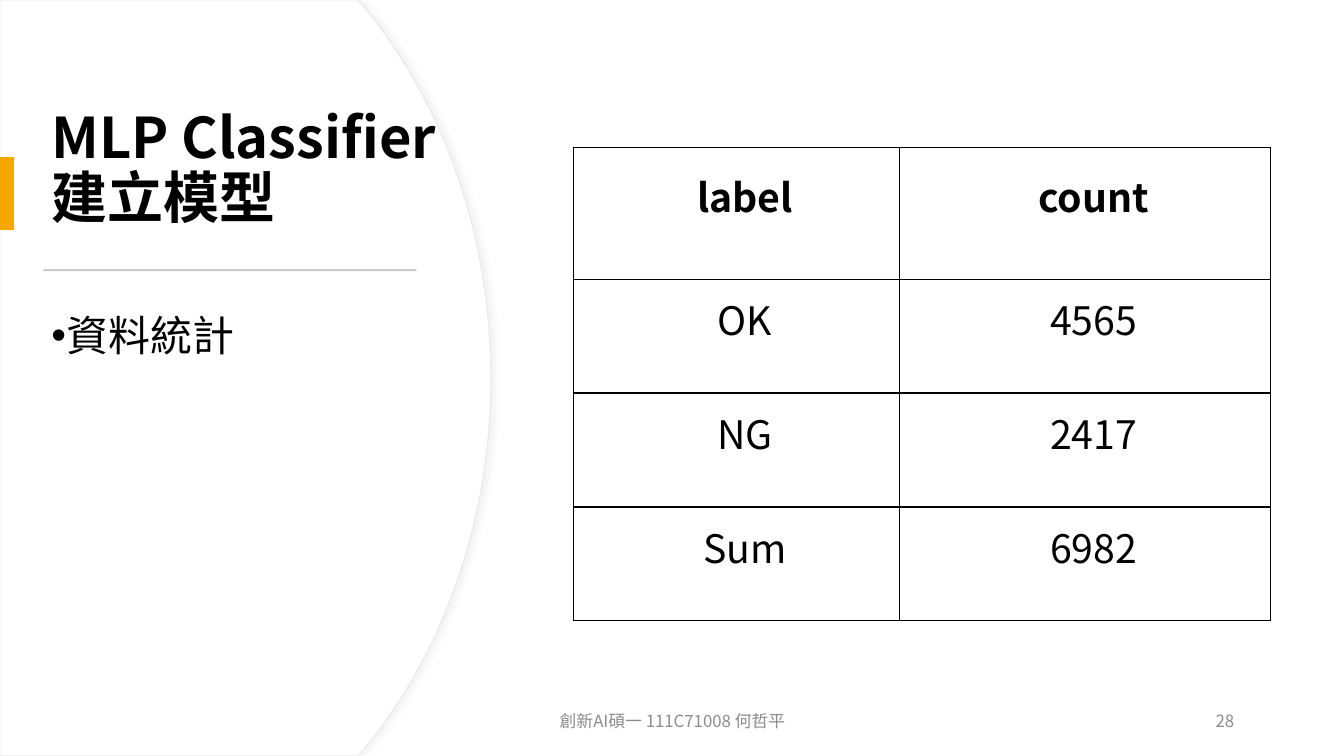
"""Build the MLP classifier slide with its label count table."""
from dataclasses import dataclass

from lxml import etree
from pptx import Presentation
from pptx.dml.color import RGBColor
from pptx.enum.shapes import MSO_SHAPE
from pptx.enum.text import MSO_ANCHOR, MSO_AUTO_SIZE, PP_ALIGN
from pptx.oxml.ns import qn
from pptx.util import Inches, Pt

RECTANGLE = MSO_SHAPE.RECTANGLE
MIDDLE, TOP = MSO_ANCHOR.MIDDLE, MSO_ANCHOR.TOP
LEFT, CENTER, RIGHT = PP_ALIGN.LEFT, PP_ALIGN.CENTER, PP_ALIGN.RIGHT
NO_AUTOFIT = MSO_AUTO_SIZE.NONE

BLACK = RGBColor(0x00, 0x00, 0x00)
WHITE = RGBColor(0xFF, 0xFF, 0xFF)
ORANGE = RGBColor(0xF5, 0xA7, 0x00)
RULE_GREY = RGBColor(0xC9, 0xC9, 0xC9)
ARC_GREY = RGBColor(0xE9, 0xE9, 0xE9)
SHADOW_GREY = RGBColor(0xD9, 0xD9, 0xD9)
FOOTER_GREY = RGBColor(0x8C, 0x8C, 0x8C)
FONT = "Noto Sans CJK SC"

WIDTH, HEIGHT = 13.33, 7.5
ARC_CURVE = ((3.62, 0.08), (4.39, 1.02), (4.87, 2.32), (4.87, 3.75))
ARC_STEPS = 24

TABLE_ROWS = (("label", "count"), ("OK", "4565"), ("NG", "2417"), ("Sum", "6982"))
COLUMN_WIDTHS = (3.23, 3.68)
ROW_HEIGHTS = (1.31, 1.13, 1.13, 1.13)
CELL_FORMAT = {
    "margin_left": Inches(0.19),
    "margin_top": Inches(0.06),
    "margin_right": Inches(0.02),
    "margin_bottom": Inches(0.41),
    "vertical_anchor": MIDDLE,
}


@dataclass(frozen=True)
class Area:
    left: float
    top: float
    width: float
    height: float

    def lengths(self) -> tuple:
        return tuple(Inches(v) for v in (self.left, self.top, self.width, self.height))


@dataclass(frozen=True)
class Label:
    text: str
    area: Area
    align: PP_ALIGN


@dataclass(frozen=True)
class Bar:
    area: Area
    color: RGBColor


TITLE_AREA = Area(0.41, 0.76, 4.99, 1.86)
BODY_AREA = Area(0.41, 2.97, 3.76, 3.51)
TABLE_AREA = Area(5.69, 1.46, sum(COLUMN_WIDTHS), sum(ROW_HEIGHTS))
BARS = (
    Bar(Area(0, 1.56, 0.14, 0.72), ORANGE),
    Bar(Area(0.43, 2.67, 3.7, 0.02), RULE_GREY),
)
FOOTERS = (
    Label("28", Area(9.34, 6.95, 3, 0.4), RIGHT),
    Label("創新AI碩一 111C71008 何哲平", Area(4.42, 6.95, 4.5, 0.4), CENTER),
)


def apply(target, values: dict) -> None:
    for name, value in values.items():
        setattr(target, name, value)


def write(frame, text: str, size: float, color: RGBColor, bold: bool = False, **layout):
    frame.text = text
    para = frame.paragraphs[0]
    apply(para, layout)
    for span in para.runs:
        apply(span.font, {"name": FONT, "size": Pt(size), "bold": bold})
        span.font.color.rgb = color
        east_asian = etree.Element(qn("a:ea"), typeface=FONT)
        span.font._element.find(qn("a:latin")).addnext(east_asian)
    return para


def fill_placeholder(box, area: Area, anchor: MSO_ANCHOR, *content, **layout):
    apply(box, dict(zip(("left", "top", "width", "height"), area.lengths())))
    frame = box.text_frame
    apply(frame, {"word_wrap": True, "auto_size": NO_AUTOFIT, "vertical_anchor": anchor})
    return write(frame, *content, alignment=LEFT, space_before=Pt(0), **layout)


def arc_points() -> list:
    upper = []
    for step in range(ARC_STEPS + 1):
        t = step / ARC_STEPS
        weights = ((1 - t) ** 3, 3 * t * (1 - t) ** 2, 3 * t * t * (1 - t), t ** 3)
        upper.append(tuple(sum(w * p[axis] for w, p in zip(weights, ARC_CURVE)) for axis in (0, 1)))
    upper.insert(0, (3.55, 0))
    lower = [(x, HEIGHT - y) for x, y in reversed(upper[:-1])]
    return upper + lower + [(0, HEIGHT)]


def add_arc(page) -> None:
    builder = page.shapes.build_freeform(0, 0)
    builder.add_line_segments([(Inches(x), Inches(y)) for x, y in arc_points()])
    arc = builder.convert_to_shape()
    arc.fill.solid()
    arc.fill.fore_color.rgb = WHITE
    arc.line.color.rgb = ARC_GREY
    arc.line.width = Pt(0.75)
    arc.shadow.inherit = False
    effects = arc._element.spPr.find(qn("a:effectLst"))
    shadow = etree.SubElement(effects, qn("a:outerShdw"), blurRad=str(Pt(4)), dist=str(Pt(3)), dir="0")
    color = etree.SubElement(shadow, qn("a:srgbClr"), val=str(SHADOW_GREY))
    etree.SubElement(color, qn("a:alpha"), val="30000")
    page.shapes._spTree.insert(2, arc._element)


def add_bar(page, bar: Bar) -> None:
    shape = page.shapes.add_shape(RECTANGLE, *bar.area.lengths())
    shape.shadow.inherit = False
    shape.fill.solid()
    shape.fill.fore_color.rgb = bar.color
    shape.line.fill.background()


def add_label(page, label: Label) -> None:
    frame = page.shapes.add_textbox(*label.area.lengths()).text_frame
    apply(frame, {"word_wrap": True, "vertical_anchor": MIDDLE})
    write(frame, label.text, 12, FOOTER_GREY, alignment=label.align)


def add_borders(cell) -> None:
    properties = cell._tc.get_or_add_tcPr()
    for position, side in enumerate(("a:lnL", "a:lnR", "a:lnT", "a:lnB")):
        line = etree.Element(qn(side), w=str(Pt(1)))
        fill = etree.SubElement(line, qn("a:solidFill"))
        etree.SubElement(fill, qn("a:srgbClr"), val=str(BLACK))
        properties.insert(position, line)


def add_count_table(page) -> None:
    shape = page.shapes.add_table(len(TABLE_ROWS), len(COLUMN_WIDTHS), *TABLE_AREA.lengths())
    table = shape.table
    apply(table, {"first_row": False, "horz_banding": False})
    for column, width in zip(table.columns, COLUMN_WIDTHS):
        column.width = Inches(width)
    for index, (row, height, texts) in enumerate(zip(table.rows, ROW_HEIGHTS, TABLE_ROWS)):
        row.height = Inches(height)
        for cell, text in zip(row.cells, texts):
            apply(cell, CELL_FORMAT)
            cell.fill.background()
            add_borders(cell)
            write(cell.text_frame, text, 28, BLACK, index == 0, alignment=CENTER)


def add_bullet(para) -> None:
    properties = para._p.get_or_add_pPr()
    apply_indent = {"marL": "0", "indent": str(-Inches(0.25))}
    properties.attrib.update(apply_indent)
    etree.SubElement(properties, qn("a:buChar"), char="•")


def main() -> None:
    deck = Presentation()
    deck.slide_width, deck.slide_height = Inches(WIDTH), Inches(HEIGHT)
    page = deck.slides.add_slide(deck.slide_layouts[1])
    page.background.fill.solid()
    page.background.fill.fore_color.rgb = WHITE
    add_arc(page)
    fill_placeholder(page.shapes.title, TITLE_AREA, MIDDLE,
                     "MLP Classifier \v建立模型", 40, BLACK, True, line_spacing=0.9)
    topic = fill_placeholder(page.placeholders[1], BODY_AREA, TOP, "資料統計", 30, BLACK,
                             line_spacing=1.1, space_after=Pt(6))
    add_bullet(topic)
    for bar in BARS:
        add_bar(page, bar)
    add_count_table(page)
    for label in FOOTERS:
        add_label(page, label)
    deck.save("out.pptx")


if __name__ == "__main__":
    main()
